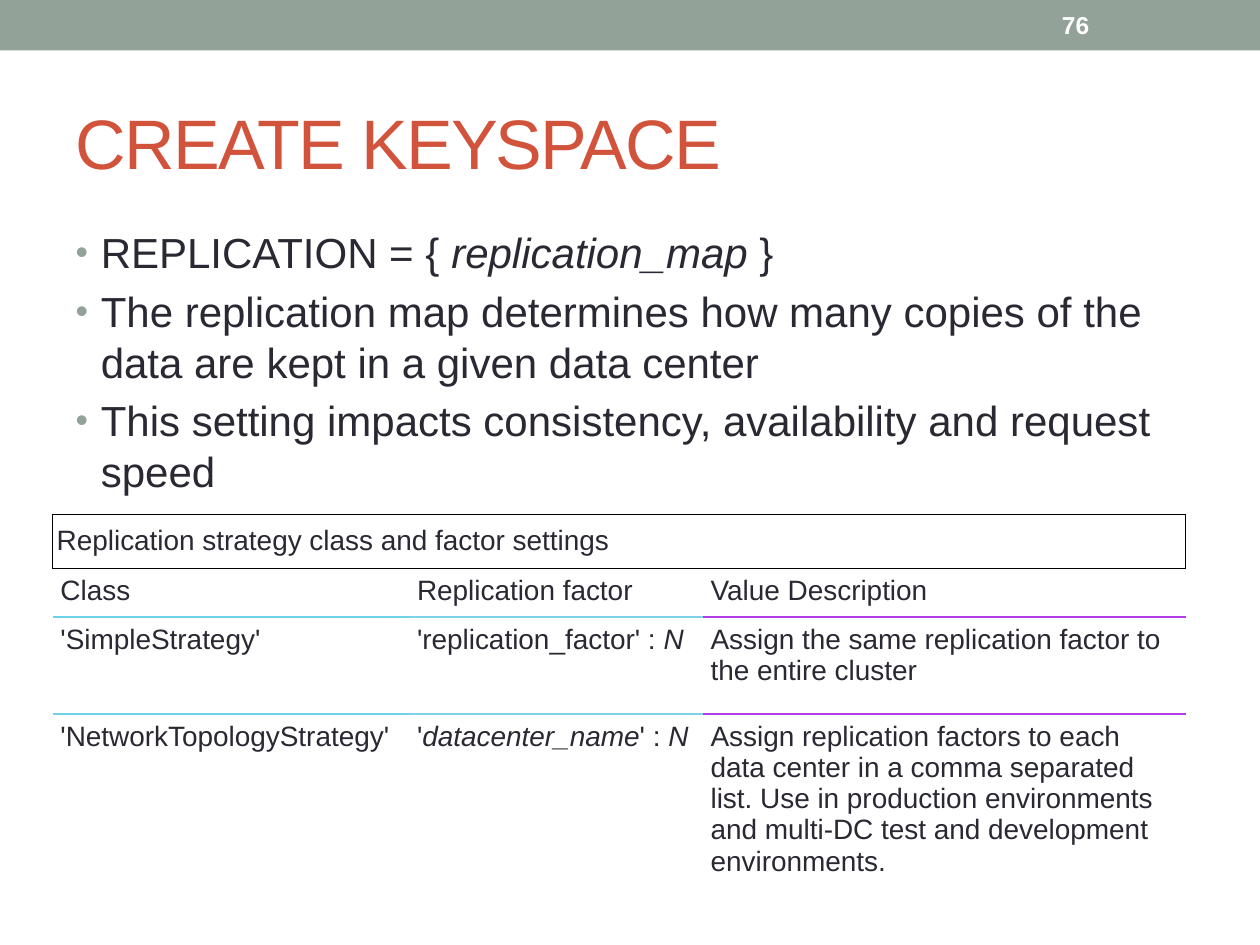
from dataclasses import dataclass

from lxml import etree
from pptx import Presentation
from pptx import util as u
from pptx.dml.color import RGBColor
from pptx.enum import shapes, text
from pptx.oxml import ns


@dataclass(frozen=True)
class Theme:
    font: str = "Arial"
    accent: str = "93A299"
    heading: str = "D2533C"
    ink: str = "292934"
    paper: str = "FFFFFF"
    outline: str = "000000"
    rules: tuple = ("70D2E6", "80D2E6", "B03DE6")
    title_size: int = 40
    body_size: int = 24
    table_size: int = 16
    number_size: int = 14


def apply(target, values):
    for name, value in values.items():
        setattr(target, name, value)


def add_element(parent, tag, **attributes):
    return etree.SubElement(parent, ns.qn(tag), attributes)


class SlideBuilder:
    def __init__(self, slide, theme):
        self.slide = slide
        self.theme = theme

    def place(self, shape, left, top, width, height):
        apply(shape, {"left": u.Inches(left), "top": u.Inches(top),
                      "width": u.Inches(width), "height": u.Inches(height)})

    def fill(self, target, color):
        target.fill.solid()
        target.fill.fore_color.rgb = RGBColor.from_string(color)

    def add_runs(self, paragraph, runs, size, color, **formats):
        paragraph.alignment = text.PP_ALIGN.LEFT
        for content, italic in runs:
            run = paragraph.add_run()
            run.text = content
            apply(run.font, {"name": self.theme.font, "size": u.Pt(size),
                             "italic": italic, **formats})
            run.font.color.rgb = RGBColor.from_string(color)

    def band(self, left, top, width, height):
        shape = self.slide.shapes.add_shape(
            shapes.MSO_SHAPE.RECTANGLE, u.Inches(left), u.Inches(top),
            u.Inches(width), u.Inches(height))
        shape.shadow.inherit = False
        self.fill(shape, self.theme.accent)
        shape.line.fill.background()

    def title(self, content, *box):
        shape = self.slide.shapes.title
        self.place(shape, *box)
        frame = shape.text_frame
        apply(frame, {"vertical_anchor": text.MSO_ANCHOR.MIDDLE,
                      "auto_size": text.MSO_AUTO_SIZE.NONE})
        paragraph = frame.paragraphs[0]
        self.add_runs(paragraph, [(content, False)], self.theme.title_size, self.theme.heading)
        paragraph.runs[0].font._element.set("spc", "-100")

    def bullets(self, items, *box):
        shape = self.slide.placeholders[1]
        self.place(shape, *box)
        frame = shape.text_frame
        frame.auto_size = text.MSO_AUTO_SIZE.NONE
        for index, runs in enumerate(items):
            paragraph = frame.add_paragraph() if index else frame.paragraphs[0]
            paragraph.space_before = u.Pt(4.8 if index else 0)
            properties = paragraph._p.get_or_add_pPr()
            indent = u.Inches(0.2)
            properties.set("marL", str(indent))
            properties.set("indent", str(-indent))
            add_element(add_element(properties, "a:buClr"), "a:srgbClr", val=self.theme.accent)
            add_element(properties, "a:buSzPct", val="85000")
            add_element(properties, "a:buFont", typeface=self.theme.font)
            add_element(properties, "a:buChar", char="•")
            self.add_runs(paragraph, runs, self.theme.body_size, self.theme.ink)

    def page_number(self, content, *box):
        shape = self.slide.shapes.add_textbox(*map(u.Inches, box))
        frame = shape.text_frame
        apply(frame, {"word_wrap": True, "vertical_anchor": text.MSO_ANCHOR.MIDDLE})
        self.add_runs(frame.paragraphs[0], [(content, False)],
                      self.theme.number_size, self.theme.paper, bold=True)

    def cell(self, cell, runs, inset, borders, anchor=text.MSO_ANCHOR.TOP):
        margin = u.Inches(inset)
        apply(cell, {"margin_left": margin, "margin_right": margin, "margin_top": margin,
                     "margin_bottom": margin, "vertical_anchor": anchor})
        properties = cell._tc.get_or_add_tcPr()
        for side, (color, width) in borders.items():
            line = add_element(properties, f"a:ln{side}", w=str(u.Pt(width)))
            add_element(add_element(line, "a:solidFill"), "a:srgbClr", val=color)
        self.fill(cell, self.theme.paper)
        self.add_runs(cell.text_frame.paragraphs[0], runs, self.theme.table_size, self.theme.ink)

    def table(self, caption, rows, left, top, widths, heights):
        frame = self.slide.shapes.add_table(
            len(heights), len(widths), u.Inches(left), u.Inches(top),
            u.Inches(sum(widths)), u.Inches(sum(heights)))
        table = frame.table
        apply(table, {"first_row": False, "horz_banding": False})
        style = table._tbl.tblPr.find(ns.qn("a:tableStyleId"))
        style.text = "{2D5ABB26-0587-4C30-8999-92F81FD0307C}"
        for column, width in zip(table.columns, widths):
            column.width = u.Inches(width)
        for row, height in zip(table.rows, heights):
            row.height = u.Inches(height)
        table.cell(0, 0).merge(table.cell(0, len(widths) - 1))
        outline = {side: (self.theme.outline, 0.75) for side in "LRTB"}
        self.cell(table.cell(0, 0), [(caption, False)], 0.03, outline, text.MSO_ANCHOR.MIDDLE)
        rule_sides = {1: "B", 2: "T"}
        for row_index, row in enumerate(rows, 1):
            for column_index, runs in enumerate(row):
                borders = {}
                if row_index in rule_sides:
                    borders[rule_sides[row_index]] = (self.theme.rules[column_index], 1.5)
                self.cell(table.cell(row_index, column_index), runs, 0.06, borders)


BULLETS = [
    [("REPLICATION = { ", False), ("replication_map ", True), ("}", False)],
    [("The replication map determines how many copies of the data are kept "
      "in a given data center", False)],
    [("This setting impacts consistency, availability and request speed", False)],
]

STRATEGIES = [
    [[("Class", False)], [("Replication factor", False)], [("Value Description", False)]],
    [[("'SimpleStrategy'", False)],
     [("'replication_factor' : ", False), ("N", True)],
     [("Assign the same replication factor to the entire cluster", False)]],
    [[("'NetworkTopologyStrategy'", False)],
     [("'", False), ("datacenter_name", True), ("' : ", False), ("N", True)],
     [("Assign replication factors to each data center in a comma separated list. "
       "Use in production environments and multi-DC test and development "
       "environments.", False)]],
]


def main():
    presentation = Presentation()
    apply(presentation, {"slide_width": u.Inches(10), "slide_height": u.Inches(7.5)})
    slide = presentation.slides.add_slide(presentation.slide_layouts[1])
    builder = SlideBuilder(slide, Theme())
    builder.band(0, 0, 10, 0.4)
    builder.title("CREATE KEYSPACE", 0.5, 0.58, 9, 1.08)
    builder.bullets(BULLETS, 0.5, 1.75, 9, 5.33)
    builder.page_number("76", 8.33, 0.02, 1.17, 0.36)
    builder.table("Replication strategy class and factor settings", STRATEGIES,
                  0.42, 4.08, (2.83, 2.33, 3.83), (0.43, 0.32, 0.77, 1.58))
    presentation.save("out.pptx")


if __name__ == "__main__":
    main()
